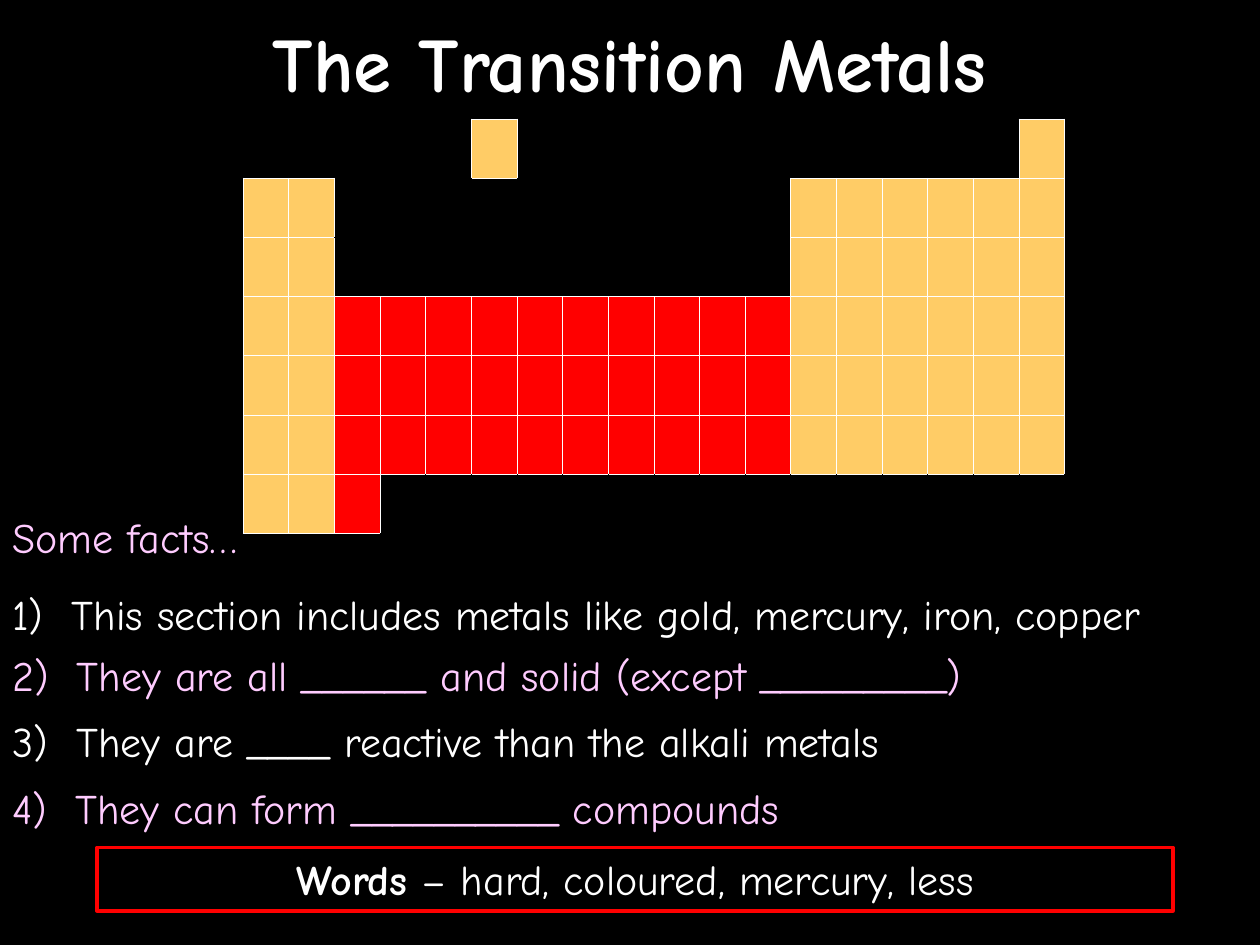
from lxml import etree
from pptx import Presentation
from pptx import util as u
from pptx.dml.color import RGBColor
from pptx.enum import shapes, text
from pptx.oxml.ns import qn

BLACK = RGBColor(0x00, 0x00, 0x00)
WHITE = RGBColor(0xFF, 0xFF, 0xFF)
PINK = RGBColor(0xFF, 0xCC, 0xFF)
RED = RGBColor(0xFF, 0x00, 0x00)
ORANGE = RGBColor(0xFF, 0xCC, 0x66)

FILLS = {"m": ORANGE, "t": RED, ".": BLACK}
FULL_ROW = "mm" + "t" * 10 + "m" * 6
SHORT_ROW = "mm" + "." * 10 + "m" * 6
PERIODS = [
    "." * 5 + "m" + "." * 11 + "m",
    SHORT_ROW, SHORT_ROW,
    FULL_ROW, FULL_ROW, FULL_ROW,
    "mmt" + "." * 15,
]
SIDES = {"L": (0, -1), "R": (0, 1), "T": (-1, 0), "B": (1, 0)}
FACTS = [
    (0.535, "Some facts…", PINK),
    (0.616, "1)  This section includes metals like gold, mercury, iron, copper", WHITE),
    (0.681, "2)  They are all ______ and solid (except _________)", PINK),
    (0.751, "3)  They are ____ reactive than the alkali metals", WHITE),
    (0.821, "4)  They can form __________ compounds", PINK),
]


def add_run(p, words, font="Comic Neue", size=24, color=WHITE, bold=False):
    r = p.add_run()
    r.text = words
    r.font.name, r.font.size, r.font.bold = font, u.Pt(size), bold
    r.font.color.rgb = color


def add_border(tc_pr, side, color):
    ln = etree.SubElement(tc_pr, qn("a:ln" + side), w=str(u.Pt(0.45)))
    fill = etree.SubElement(ln, qn("a:solidFill"))
    etree.SubElement(fill, qn("a:srgbClr"), val=str(color))


class Deck:
    def __init__(self):
        self.prs = Presentation()
        self.prs.slide_width, self.prs.slide_height = u.Inches(10), u.Inches(7.5)
        self.s = self.prs.slides.add_slide(self.prs.slide_layouts[5])
        self.s.background.fill.solid()
        self.s.background.fill.fore_color.rgb = BLACK

    def box(self, x, y, w, h):
        width, height = self.prs.slide_width, self.prs.slide_height
        return int(x * width), int(y * height), int(w * width), int(h * height)

    def title(self, words):
        sp = self.s.shapes.title
        sp.left, sp.top, sp.width, sp.height = self.box(0, 0, 1, 0.13)
        tf = sp.text_frame
        tf.auto_size = text.MSO_AUTO_SIZE.NONE
        tf.vertical_anchor = text.MSO_ANCHOR.MIDDLE
        p = tf.paragraphs[0]
        p.alignment = text.PP_ALIGN.CENTER
        add_run(p, words, size=44, bold=True)

    def fact(self, y, words, color):
        tf = self.s.shapes.add_textbox(*self.box(0, y, 1, 0.067)).text_frame
        tf.word_wrap = True
        add_run(tf.paragraphs[0], words, color=color)

    def word_bank(self, heading, words):
        sp = self.s.shapes.add_shape(
            shapes.MSO_SHAPE.RECTANGLE, *self.box(0.077, 0.897, 0.854, 0.067))
        sp.shadow.inherit = False
        sp.fill.background()
        sp.line.color.rgb, sp.line.width = RED, u.Pt(2)
        tf = sp.text_frame
        tf.word_wrap = True
        tf.vertical_anchor = text.MSO_ANCHOR.TOP
        p = tf.paragraphs[0]
        p.alignment = text.PP_ALIGN.CENTER
        add_run(p, heading, bold=True)
        add_run(p, words)

    def periodic_table(self, grid):
        rows, cols = len(grid), len(grid[0])
        x, y, w, h = self.box(0.193, 0.126, 0.652, 0.437 * 0.925)
        h = rows * u.Inches(0.47)
        table = self.s.shapes.add_table(rows, cols, x, y, w, h).table
        table.first_row = table.horz_banding = False
        for i, row in enumerate(grid):
            for j, kind in enumerate(row):
                cell = table.cell(i, j)
                tc_pr = cell._tc.get_or_add_tcPr()
                for side, (di, dj) in SIDES.items():
                    ni, nj = i + di, j + dj
                    inside = 0 <= ni < rows and 0 <= nj < cols
                    beside = grid[ni][nj] if inside else "."
                    edge = BLACK if kind == beside == "." else WHITE
                    add_border(tc_pr, side, edge)
                cell.fill.solid()
                cell.fill.fore_color.rgb = FILLS[kind]


def main():
    deck = Deck()
    deck.title("The Transition Metals")
    deck.periodic_table(PERIODS)
    for fact in FACTS:
        deck.fact(*fact)
    deck.word_bank("Words", " – hard, coloured, mercury, less")
    deck.prs.save("out.pptx")


if __name__ == "__main__":
    main()
